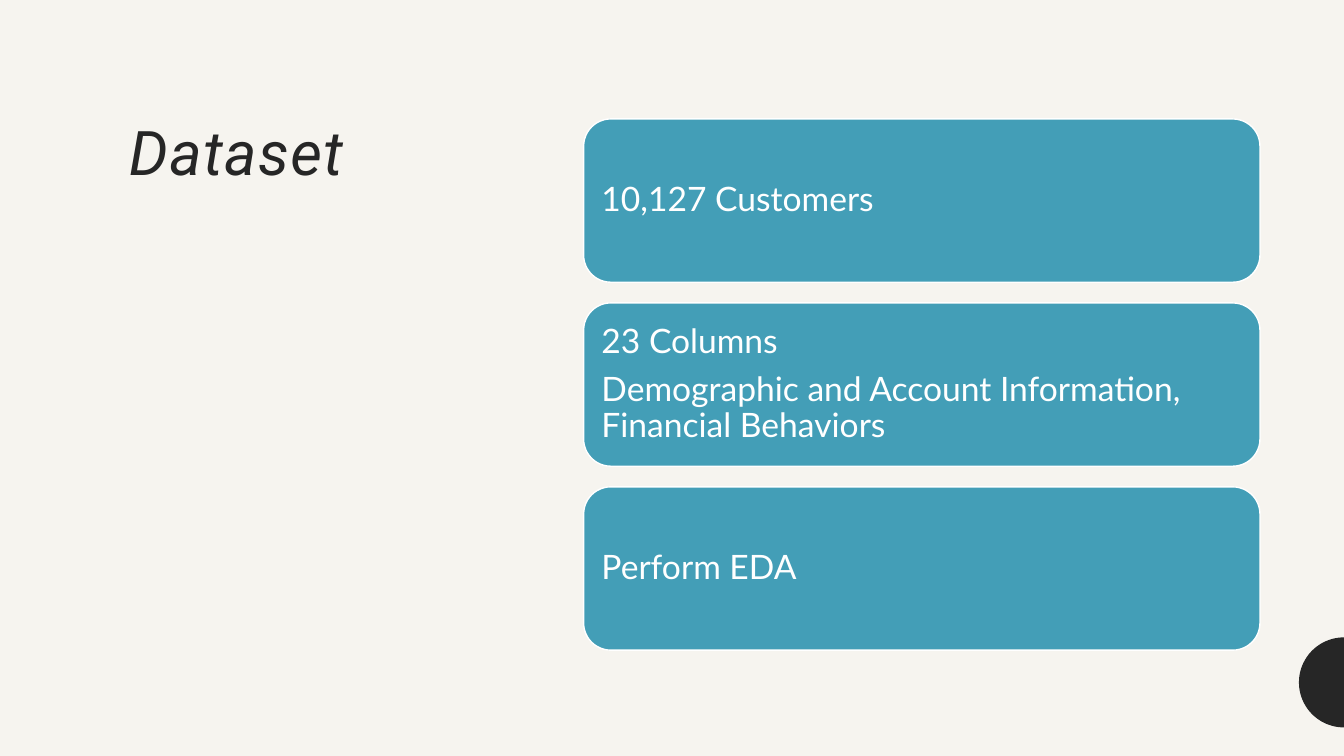
from math import cos, pi, sin

from pptx import Presentation
from pptx.dml.color import RGBColor as Rgb
from pptx.enum.shapes import MSO_SHAPE as Shape
from pptx.enum.text import MSO_ANCHOR as Anchor, PP_ALIGN as Align
from pptx.util import Inches, Pt

COLS, ROWS = 160, 90
CELL = Inches(1) // 12
HEX = {"paper": "F6F4EF", "ink": "262626", "card": "439EB7", "white": "FFFFFF"}


def grid(*cells):
    return [round(cell * CELL) for cell in cells]


class Deck:
    """Holds the style and the current slide; lengths are grid cells."""

    head, body = "Roboto", "Lato"

    def __init__(self):
        self.prs = Presentation()
        self.prs.slide_width, self.prs.slide_height = grid(COLS, ROWS)
        self.slide = self.prs.slides.add_slide(self.prs.slide_layouts[6])
        self.paint(self.slide.background.fill, "paper")

    def paint(self, fill, tone):
        fill.solid()
        fill.fore_color.rgb = Rgb.from_string(HEX[tone])

    def label(self, frame, lines, face, size, tone, after=0):
        frame.word_wrap = True
        frame.text = "\n".join(lines)
        for para in frame.paragraphs:
            para.alignment = Align.LEFT
            para.line_spacing = 0.9
            para.space_after = Pt(after)
            for run in para.runs:
                run.font.name, run.font.size = face, Pt(size)
                run.font.color.rgb = Rgb.from_string(HEX[tone])

    def title(self, text, box):
        frame = self.slide.shapes.add_textbox(*grid(*box)).text_frame
        self.label(frame, [text], self.head, 44, "ink")
        run = frame.paragraphs[0].runs[0]
        run.font.italic = True
        run._r.get_or_add_rPr().set("spc", "100")

    def card(self, lines, box):
        card = self.slide.shapes.add_shape(Shape.ROUNDED_RECTANGLE, *grid(*box))
        card.shadow.inherit = False
        self.paint(card.fill, "card")
        self.paint(card.line.fill, "white")
        card.line.width = Pt(1)
        frame = card.text_frame
        frame.vertical_anchor = Anchor.MIDDLE
        frame.margin_left = frame.margin_right = Inches(0.1)
        frame.margin_top = frame.margin_bottom = Inches(0.1)
        self.label(frame, lines, self.body, 24, "white", after=8.4)

    def half_disc(self, x, y, radius, steps=48):
        turns = [pi * step / steps for step in range(steps + 1)]
        rim = [grid(x - radius * sin(a), y - radius * cos(a)) for a in turns]
        pen = self.slide.shapes.build_freeform(*rim[0])
        pen.add_line_segments(rim[1:], close=True)
        disc = pen.convert_to_shape()
        disc.shadow.inherit = False
        self.paint(disc.fill, "ink")
        disc.line.fill.background()


def main():
    deck = Deck()

    # Edge mark and heading
    deck.half_disc(COLS, 81.24, 5.36)
    deck.title("Dataset", (14.16, 13.92, 46.92, 63.12))

    # Stack of facts
    facts = [
        ["10,127 Customers"],
        ["23 Columns", "Demographic and Account Information, Financial Behaviors"],
        ["Perform EDA"],
    ]
    top, step = 14.16, 21.9
    for row, lines in enumerate(facts):
        deck.card(lines, (69.48, top + row * step, 80.52, 19.44))

    deck.prs.save("out.pptx")


if __name__ == "__main__":
    main()
